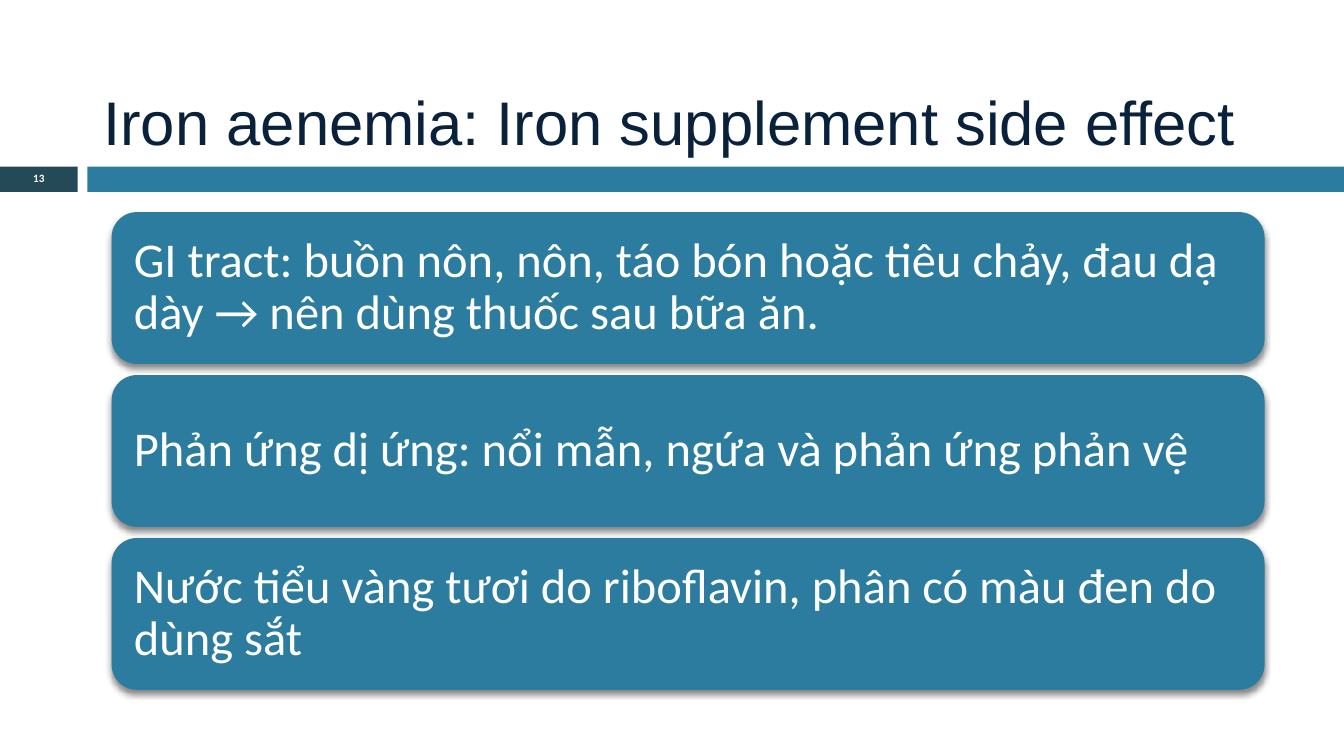
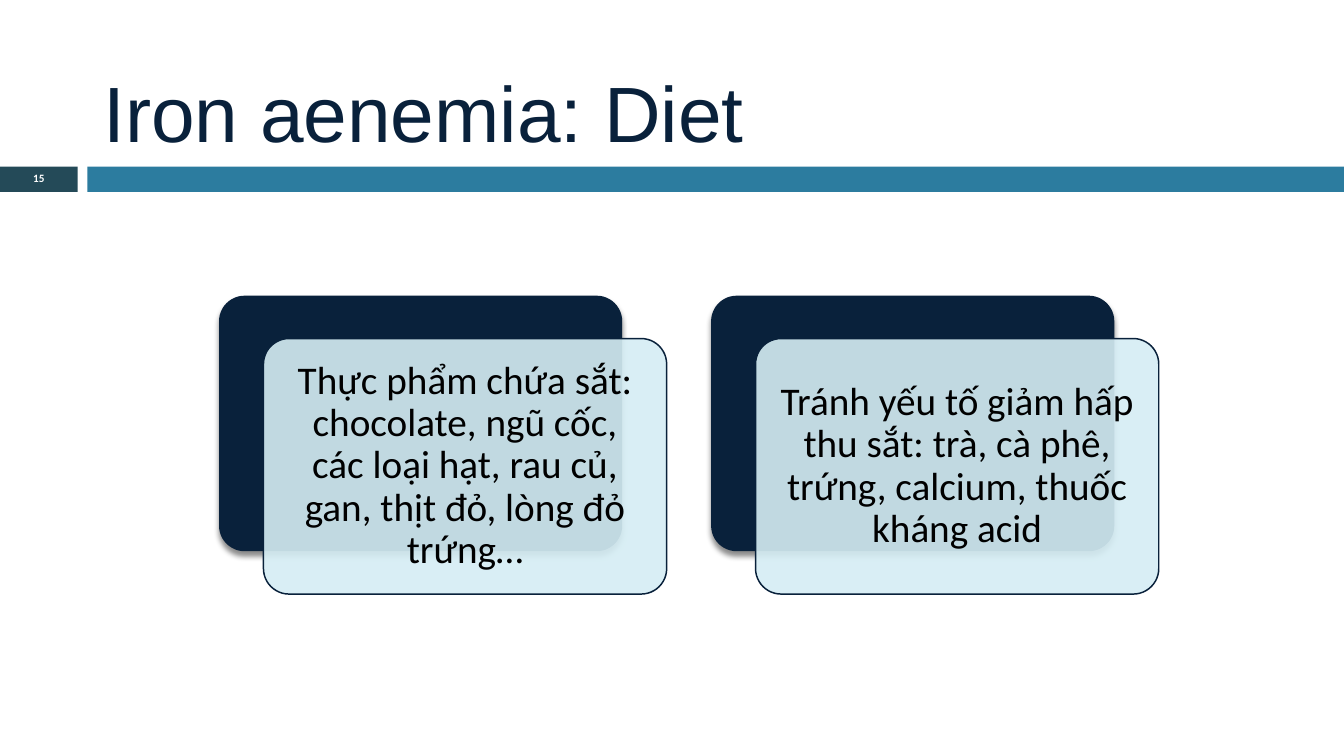
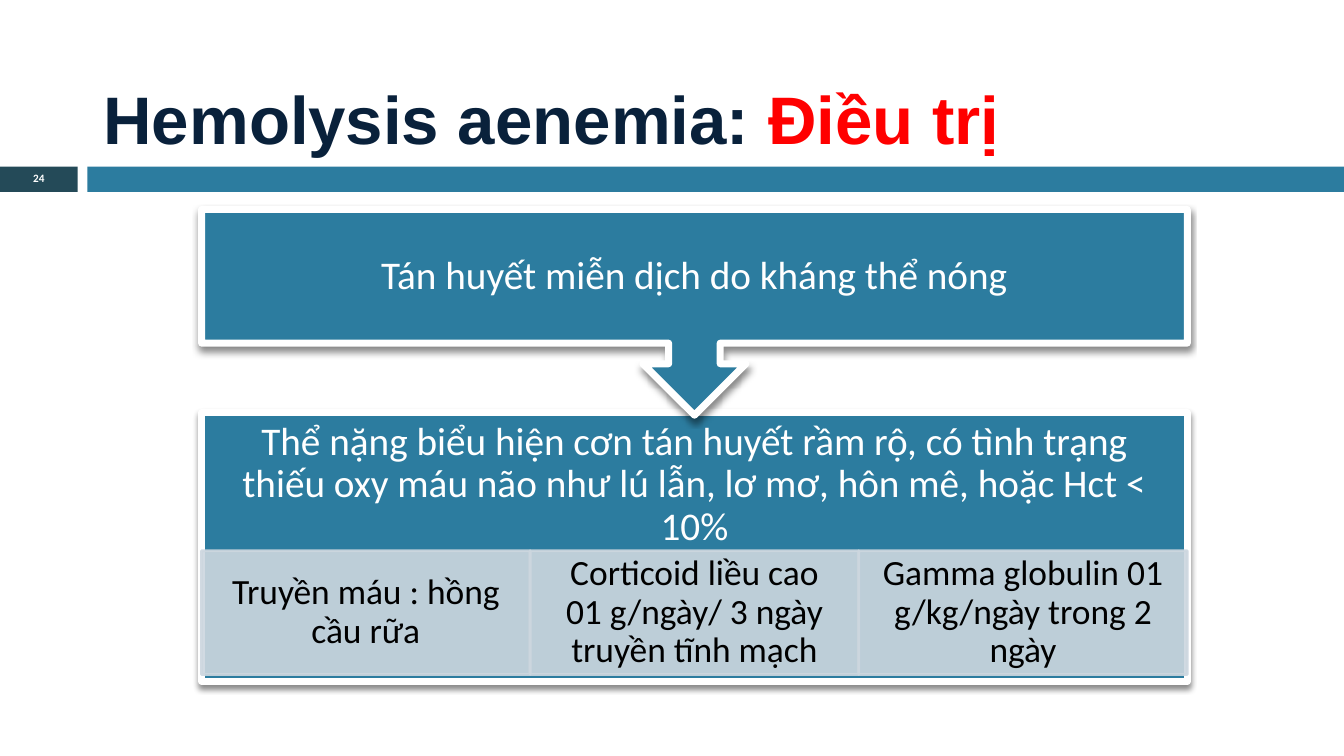
from lxml.etree import SubElement
from pptx import Presentation
from pptx.dml.color import RGBColor
from pptx.enum.shapes import MSO_SHAPE
from pptx.enum.text import MSO_ANCHOR, MSO_AUTO_SIZE, PP_ALIGN
from pptx.oxml.ns import qn
from pptx.util import Cm, Pt

# Shared colours and fonts
NAVY, TEAL, DARK_TEAL = "09213B", "2C7C9F", "244A58"
PALE_BLUE, GREY_BLUE = "D5EDF4", "CDD7DF"
WHITE, BLACK, RED = "FFFFFF", "000000", "FF0000"
TITLE_FONT, BODY_FONT = "Arial", "Calibri"


def color(value):
    return RGBColor.from_string(value)


def set_opacity(parent, percent):
    for element in parent.find(qn("a:solidFill")):
        SubElement(element, qn("a:alpha"), val=str(percent * 1000))


class Deck:
    """Holds the presentation style and the slide being built."""

    def __init__(self):
        self.presentation = Presentation()
        self.presentation.slide_width = Cm(25.4)
        self.presentation.slide_height = Cm(14.29)
        self.slide = None

    def add_slide(self, number, title_parts, size, bold=False, spacing=1.0):
        layout = self.presentation.slide_layouts[5]
        self.slide = self.presentation.slides.add_slide(layout)

        # Band with the slide number
        badge = self.box(MSO_SHAPE.RECTANGLE, 0, 3.15, 1.47, 0.48, DARK_TEAL)
        self.label(badge, str(number), 6, WHITE, bold=True)
        self.box(MSO_SHAPE.RECTANGLE, 1.65, 3.15, 23.75, 0.48, TEAL)

        # Title
        title = self.slide.shapes.title
        title.left, title.top = Cm(1.7), Cm(0.33)
        title.width, title.height = Cm(22.66), Cm(2.79)
        frame = title.text_frame
        frame.auto_size = MSO_AUTO_SIZE.NONE
        frame.vertical_anchor = MSO_ANCHOR.BOTTOM
        paragraph = frame.paragraphs[0]
        paragraph.alignment = PP_ALIGN.LEFT
        paragraph.line_spacing = spacing
        for text, ink in title_parts:
            run = paragraph.add_run()
            run.text = text
            self.style(run.font, TITLE_FONT, size, ink, bold)

    def style(self, font, name, size, ink, bold=False):
        font.name, font.size, font.bold = name, Pt(size), bold
        font.color.rgb = color(ink)

    def box(self, kind, left, top, width, height, fill, opacity=None,
            line=None, line_width=0, line_opacity=None, shadow=False,
            corner=None):
        shape = self.slide.shapes.add_shape(
            kind, Cm(left), Cm(top), Cm(width), Cm(height))
        properties = shape._element.spPr
        shape.fill.solid()
        shape.fill.fore_color.rgb = color(fill)
        if opacity:
            set_opacity(properties, opacity)
        if line:
            shape.line.color.rgb = color(line)
            shape.line.width = Pt(line_width)
            if line_opacity:
                set_opacity(properties.find(qn("a:ln")), line_opacity)
        else:
            shape.line.fill.background()
        if corner:
            shape.adjustments[0] = corner
        shape.shadow.inherit = False
        if shadow:
            self.cast_shadow(properties.find(qn("a:effectLst")))
        return shape

    def cast_shadow(self, effects):
        outer = SubElement(effects, qn("a:outerShdw"), blurRad=str(Pt(3)),
                           dist=str(Pt(2.4)), dir="5400000", rotWithShape="0")
        ink = SubElement(outer, qn("a:srgbClr"), val=BLACK)
        SubElement(ink, qn("a:alpha"), val="45000")

    def label(self, shape, text, size, ink, side=0, top=0, bottom=0,
              align=PP_ALIGN.CENTER, bold=False):
        frame = shape.text_frame
        frame.word_wrap = True
        frame.vertical_anchor = MSO_ANCHOR.MIDDLE
        frame.margin_left = frame.margin_right = Cm(side)
        frame.margin_top, frame.margin_bottom = Cm(top), Cm(bottom)
        frame.text = text
        paragraph = frame.paragraphs[0]
        paragraph.alignment = align
        paragraph.line_spacing = 0.9
        self.style(paragraph.runs[0].font, BODY_FONT, size, ink, bold)

    def bar(self, row, text):
        shape = self.box(MSO_SHAPE.ROUNDED_RECTANGLE, 2.11, 4.01 + row * 3.08,
                         21.79, 2.87, TEAL, shadow=True)
        self.label(shape, text, 26, WHITE, 0.28, 0.28, 0.28, PP_ALIGN.LEFT)

    def layered_card(self, column, text):
        left, top, width, height = 4.14 + column * 9.3, 5.59, 7.62, 4.83
        self.box(MSO_SHAPE.ROUNDED_RECTANGLE, left, top, width, height, NAVY,
                 shadow=True, corner=0.1)
        front = self.box(MSO_SHAPE.ROUNDED_RECTANGLE, left + 0.84, top + 0.81,
                         width, height, PALE_BLUE, opacity=90, line=NAVY,
                         line_width=0.79, corner=0.1)
        self.label(front, text, 21, BLACK, 0.23, 0.23, 0.23)

    def process_step(self, kind, top, height, text, bottom=0):
        shape = self.box(kind, 3.81, top, 18.63, height, TEAL, line=WHITE,
                         line_width=3.75, shadow=True)
        self.label(shape, text, 21, WHITE, 0.41, bottom=bottom)

    def treatment(self, column, text):
        width = 18.63 / 3
        shape = self.box(MSO_SHAPE.RECTANGLE, 3.81 + column * width, 10.41,
                         width, 2.34, GREY_BLUE, opacity=90, line=GREY_BLUE,
                         line_width=1.5, line_opacity=90)
        self.label(shape, text, 19, BLACK, 0.38, 0.08, 0.08)


def main():
    deck = Deck()

    # Side effects
    deck.add_slide(13, [("Iron aenemia: Iron supplement side effect", NAVY)],
                   33, spacing=0.9)
    side_effects = [
        "GI tract: buồn nôn, nôn, táo bón hoặc tiêu chảy, đau dạ dày → "
        "nên dùng thuốc sau bữa ăn.",
        "Phản ứng dị ứng: nổi mẫn, ngứa và phản ứng phản vệ",
        "Nước tiểu vàng tươi do riboflavin, phân có màu đen do dùng sắt",
    ]
    for row, text in enumerate(side_effects):
        deck.bar(row, text)

    # Diet
    deck.add_slide(15, [("Iron aenemia: Diet", NAVY)], 42)
    diet_advice = [
        "Thực phẩm chứa sắt: chocolate, ngũ cốc, các loại hạt, rau củ, gan, "
        "thịt đỏ, lòng đỏ trứng…",
        "Tránh yếu tố giảm hấp thu sắt: trà, cà phê, trứng, calcium, "
        "thuốc kháng acid",
    ]
    for column, text in enumerate(diet_advice):
        deck.layered_card(column, text)

    # Treatment, with the callout in front of the box it points to
    deck.add_slide(24, [("Hemolysis aenemia: ", NAVY), ("Điều trị", RED)],
                   36, bold=True)
    deck.process_step(
        MSO_SHAPE.RECTANGLE, 7.8, 5.08,
        "Thể nặng biểu hiện cơn tán huyết rầm rộ, có tình trạng thiếu oxy "
        "máu não như lú lẫn, lơ mơ, hôn mê, hoặc Hct < 10%", bottom=2.34)
    treatments = [
        "Truyền máu : hồng cầu rữa",
        "Corticoid liều cao 01 g/ngày/ 3 ngày truyền tĩnh mạch",
        "Gamma globulin 01 g/kg/ngày trong 2 ngày",
    ]
    for column, text in enumerate(treatments):
        deck.treatment(column, text)
    deck.process_step(MSO_SHAPE.DOWN_ARROW_CALLOUT, 3.96, 3.89,
                      "Tán huyết miễn dịch do kháng thể nóng")

    deck.presentation.save("out.pptx")


if __name__ == "__main__":
    main()
